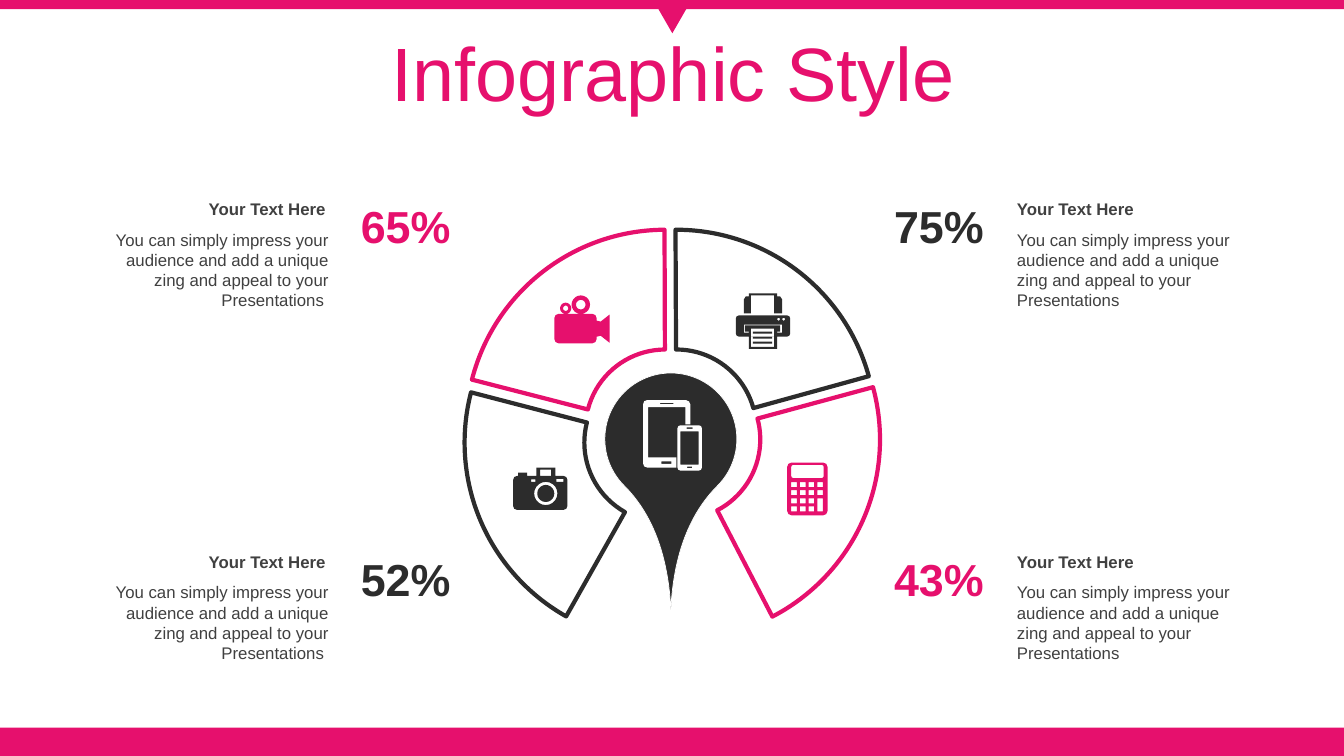
import math

import pptx
import pptx.dml.color
import pptx.enum.shapes
import pptx.enum.text
import pptx.util

Pt = pptx.util.Pt
PRESET = pptx.enum.shapes.MSO_SHAPE
ALIGN = pptx.enum.text.PP_ALIGN
ANCHOR = pptx.enum.text.MSO_ANCHOR
FIT = pptx.enum.text.MSO_AUTO_SIZE

COLORS = {"pink": "E6106D", "dark": "2C2C2C", "text": "404040", "white": "FFFFFF"}
BODY = ("You can simply impress your audience and add a unique "
        "zing and appeal to your Presentations")

BARS = [
    (PRESET.RECTANGLE, 0, 519.84, 960, 21.6, 0),
    (PRESET.RECTANGLE, 0, 0, 960, 6.48, 0),
    (PRESET.ISOSCELES_TRIANGLE, 466.56, 0, 27.36, 23.76, 180),
]
SEGMENTS = [
    (332.64, 164.16, 0, (116.65, 161.88, 0.3), "pink"),
    (340.56, 164.16, 75, (116.85, 161.74, 0.3), "dark"),
    (343.44, 171.36, 153, (115.08, 161.74, 0.3), "pink"),
    (331.92, 173.52, 285, (116.65, 161.74, 0.3), "dark"),
]
CAPTION_SIDES = {
    "left": (69.84, 69.12, 249.12, ALIGN.RIGHT, BODY + " "),
    "right": (719.28, 719.28, 630, ALIGN.LEFT, BODY),
}
CAPTIONS = [
    ("right", 138.24, "75%", "dark"),
    ("right", 390.24, "43%", "pink"),
    ("left", 138.24, "65%", "pink"),
    ("left", 390.24, "52%", "dark"),
]


def rgb(color):
    return pptx.dml.color.RGBColor.from_string(COLORS[color])


def apply(target, values):
    for name, value in values.items():
        setattr(target, name, value)


def paint(shape, fill, line=None, weight=0):
    shape.shadow.inherit = False
    shape.fill.solid()
    shape.fill.fore_color.rgb = rgb(fill)
    if line:
        shape.line.color.rgb = rgb(line)
        shape.line.width = Pt(weight)
    else:
        shape.line.fill.background()


def add_preset(page, preset, left, top, width, height, turn=0, adjust=()):
    shape = page.shapes.add_shape(preset, Pt(left), Pt(top), Pt(width), Pt(height))
    shape.rotation = turn
    for index, value in enumerate(adjust):
        shape.adjustments[index] = value
    return shape


def write(box, text, size, color, bold=False, frame=None, para=None):
    apply(box.text_frame, {"word_wrap": True, **(frame or {})})
    paragraph = box.text_frame.paragraphs[0]
    apply(paragraph, para or {})
    span = paragraph.add_run()
    span.text = text
    apply(span.font, {"name": "Arial", "size": Pt(size), "bold": bold})
    span.font.color.rgb = rgb(color)


def add_text(page, left, top, width, height, text, size, color, align, bold=False):
    box = page.shapes.add_textbox(Pt(left), Pt(top), Pt(width), Pt(height))
    write(box, text, size, color, bold,
          {"auto_size": FIT.SHAPE_TO_FIT_TEXT}, {"alignment": align})


def add_title(page, text):
    title = page.shapes.title
    apply(title, {"left": Pt(25.2), "top": Pt(26.64),
                  "width": Pt(911.52), "height": Pt(56.88)})
    write(title, text, 54, "pink",
          frame={"vertical_anchor": ANCHOR.MIDDLE, "auto_size": FIT.NONE},
          para={"alignment": ALIGN.CENTER, "line_spacing": 0.9, "space_before": Pt(10)})


def add_caption(page, side, top, percent, color):
    body_left, head_left, percent_left, align, body = CAPTION_SIDES[side]
    add_text(page, body_left, top + 22, 172.08, 65.52, body, 12, "text", align)
    add_text(page, head_left, top, 170.64, 21.6, "Your Text Here", 12, "text", align, True)
    add_text(page, percent_left, top, 81.36, 46.08, percent, 32, color, ALIGN.CENTER, True)


def arc(x, y, radius, start, sweep, steps):
    angles = [math.radians(start + sweep * step / steps) for step in range(steps + 1)]
    return [(x + radius * math.cos(a), y + radius * math.sin(a)) for a in angles]


def disc(x, y, radius):
    steps = 20 if radius > 3 else 10
    return arc(x, y, radius, 0, 360, steps)[:-1]


def block(x, y, width, height, radius=0):
    if not radius:
        return [(x, y), (x + width, y), (x + width, y + height), (x, y + height)]
    near_x, far_x = x + radius, x + width - radius
    near_y, far_y = y + radius, y + height - radius
    corners = [(near_x, near_y), (far_x, near_y), (far_x, far_y), (near_x, far_y)]
    return [point for index, (cx, cy) in enumerate(corners)
            for point in arc(cx, cy, radius, 180 + 90 * index, 90, 2)]


def add_icon(page, left, top, color, outlines):
    placed = [[(Pt(left + x), Pt(top + y)) for x, y in outline] for outline in outlines]
    builder = page.shapes.build_freeform(*placed[0][0])
    builder.add_line_segments(placed[0][1:], close=True)
    for outline in placed[1:]:
        builder.move_to(*outline[0])
        builder.add_line_segments(outline[1:], close=True)
    paint(builder.convert_to_shape(), color)


def devices():
    tablet = [(2.9, 0), (30.5, 0), (32.8, 1), (33.8, 3.3), (33.8, 17.3), (30.2, 17.3),
              (30.2, 5), (3.6, 5), (3.6, 41), (23.8, 41), (23.8, 48.2), (2.9, 48.2),
              (0.8, 47.4), (0, 45.4), (0, 2.9), (0.8, 0.8)]
    return [tablet, block(13, 43.9, 7.2, 1.6), block(12.2, 2, 9.4, 1),
            block(24.5, 18, 17.5, 32.4, 2.2), block(26.6, 22.3, 13, 23.8),
            block(31, 19.6, 4.3, 1), block(31.4, 47.5, 3.6, 1.2)]


def calculator():
    keys = [block(2.9 + 6.2 * column, 13.9 + 5.8 * row, 4, 3.6)
            for row in range(4) for column in range(4) if column < 3 or row < 2]
    return [block(0, 0, 28.8, 37.6, 3), block(2.9, 1.6, 23.2, 9.4, 1.4),
            block(21.5, 25.5, 4, 9.4)] + keys


def printer():
    feeder = [(5.8, 14.4), (5.8, 4.3), (7.2, 2.2), (9.4, 2.2), (9.4, 0), (29.5, 0),
              (29.5, 2.2), (31.7, 2.2), (33.1, 4.3), (33.1, 14.4), (27.4, 14.4),
              (27.4, 1.4), (10.8, 1.4), (10.8, 14.4)]
    slot = [(5.8, 22.3), (33.1, 22.3), (33.1, 28.1), (29.5, 28.1), (29.5, 27.4),
            (31.7, 27.4), (31.7, 23), (6.5, 23), (6.5, 27.4), (9.4, 27.4),
            (9.4, 28.1), (5.8, 28.1)]
    lines = [block(12.2, 27.4 + 3.6 * row, 13.7, 1.4) for row in range(3)]
    return [feeder, slot, block(0, 15.8, 38.9, 15.1, 2.2), block(9.4, 30.9, 20.2, 8.7),
            block(10.8, 25.2, 16.6, 13), disc(30.6, 18.5, 1), disc(34.2, 18.5, 1)] + lines


def camera():
    return [block(0, 5.8, 38.9, 24.4, 3), block(16.6, 0, 13.7, 5.8),
            block(19.4, 1.4, 7.9, 4.4), block(3.6, 3.6, 6.5, 2.2),
            block(13, 8.4, 2.9, 1.8), block(31, 7.9, 5, 2.2),
            disc(23.4, 18.4, 8.3), disc(23.4, 18.4, 6.1)]


def video_camera():
    lens = [(30.2, 18), (33.1, 18.7), (39.4, 13.7), (39.4, 33.8), (33.1, 28.8), (30.2, 29.5)]
    return [block(0, 13.2, 30.2, 21, 3), lens, disc(18.9, 6.6, 6.6),
            disc(18.9, 6.6, 3.4), disc(8.1, 9.2, 4), disc(8.1, 9.2, 1.9)]


def main():
    deck = pptx.Presentation()
    apply(deck, {"slide_width": Pt(960), "slide_height": Pt(540)})
    page = deck.slides.add_slide(deck.slide_layouts[5])
    for bar in BARS:
        paint(add_preset(page, *bar), "pink")
    add_title(page, "Infographic Style")
    for left, top, turn, adjust, color in SEGMENTS:
        segment = add_preset(page, PRESET.BLOCK_ARC, left, top, 285.12, 285.12, turn, adjust)
        paint(segment, "white", color, 3)
    pin = add_preset(page, PRESET.TEAR, 432, 266.4, 94.32, 94.32, 135, (1.83,))
    paint(pin, "dark", "white", 0.5)
    add_icon(page, 459.4, 285.8, "white", devices())
    for caption in CAPTIONS:
        add_caption(page, *caption)
    add_icon(page, 562.3, 330.5, "pink", calculator())
    add_icon(page, 525.6, 209.5, "dark", printer())
    add_icon(page, 366.5, 334.1, "dark", camera())
    add_icon(page, 396, 211, "pink", video_camera())
    deck.save("out.pptx")


if __name__ == "__main__":
    main()
